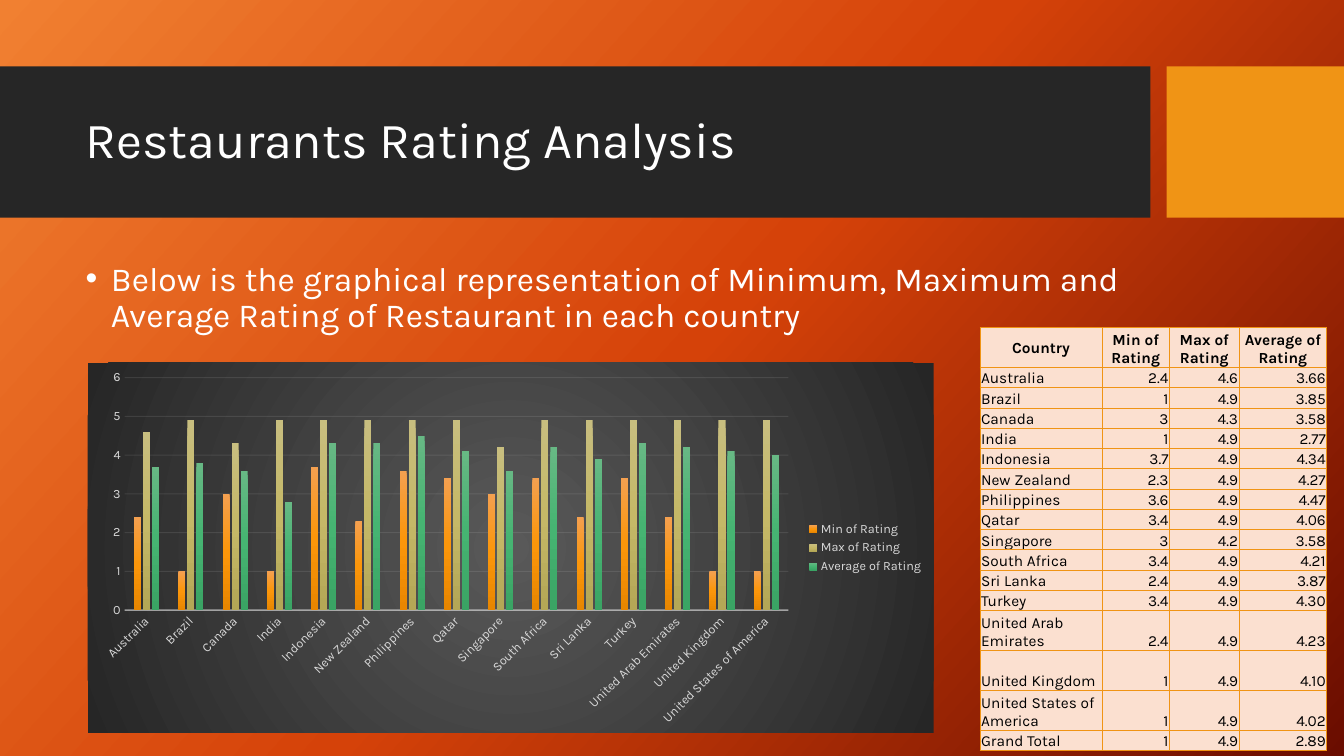
from lxml import etree
from pptx import Presentation
from pptx.chart.data import CategoryChartData
from pptx.dml.color import RGBColor
from pptx.enum.chart import XL_CHART_TYPE, XL_LEGEND_POSITION, XL_TICK_MARK
from pptx.enum.shapes import MSO_SHAPE
from pptx.enum.text import MSO_ANCHOR, MSO_AUTO_SIZE, PP_ALIGN
from pptx.oxml.ns import qn
from pptx.util import Inches, Pt

CLUSTERED = XL_CHART_TYPE.COLUMN_CLUSTERED
LEGEND_RIGHT = XL_LEGEND_POSITION.RIGHT
NO_TICK = XL_TICK_MARK.NONE
RECTANGLE = MSO_SHAPE.RECTANGLE
TOP, MIDDLE, BOTTOM = MSO_ANCHOR.TOP, MSO_ANCHOR.MIDDLE, MSO_ANCHOR.BOTTOM
NO_FIT = MSO_AUTO_SIZE.NONE
LEFT, CENTER, RIGHT = PP_ALIGN.LEFT, PP_ALIGN.CENTER, PP_ALIGN.RIGHT

FONT = "Karla"
WHITE = RGBColor(0xFF, 0xFF, 0xFF)
BLACK = RGBColor(0x00, 0x00, 0x00)
CHARCOAL = RGBColor(0x26, 0x26, 0x26)
GRAY = RGBColor(0x59, 0x59, 0x59)
LABEL_GRAY = RGBColor(0xD9, 0xD9, 0xD9)
LINE_GRAY = RGBColor(0xF2, 0xF2, 0xF2)
ORANGE = RGBColor(0xF0, 0x94, 0x15)
PEACH = RGBColor(0xFB, 0xE0, 0xD0)
BACKGROUND_COLORS = [RGBColor(0xF1, 0x80, 0x31), RGBColor(0xD5, 0x42, 0x09), RGBColor(0x6A, 0x0D, 0x00)]
SERIES_COLORS = [
    [RGBColor(0xF4, 0xA0, 0x50), RGBColor(0xFB, 0x96, 0x0A), RGBColor(0xE8, 0x86, 0x00)],
    [RGBColor(0xC8, 0xBE, 0x7F), RGBColor(0xC5, 0xB8, 0x67), RGBColor(0xB4, 0xA7, 0x56)],
    [RGBColor(0x67, 0xB8, 0x84), RGBColor(0x46, 0xB4, 0x72), RGBColor(0x3A, 0xA4, 0x64)],
]

HEADERS = ["Country", "Min of Rating", "Max of Rating", "Average of Rating"]
RATINGS = [
    ("Australia", "2.4", "4.6", "3.66"),
    ("Brazil", "1", "4.9", "3.85"),
    ("Canada", "3", "4.3", "3.58"),
    ("India", "1", "4.9", "2.77"),
    ("Indonesia", "3.7", "4.9", "4.34"),
    ("New Zealand", "2.3", "4.9", "4.27"),
    ("Philippines", "3.6", "4.9", "4.47"),
    ("Qatar", "3.4", "4.9", "4.06"),
    ("Singapore", "3", "4.2", "3.58"),
    ("South Africa", "3.4", "4.9", "4.21"),
    ("Sri Lanka", "2.4", "4.9", "3.87"),
    ("Turkey", "3.4", "4.9", "4.30"),
    ("United Arab Emirates", "2.4", "4.9", "4.23"),
    ("United Kingdom", "1", "4.9", "4.10"),
    ("United States of America", "1", "4.9", "4.02"),
]
GRAND_TOTAL = ("Grand Total", "1", "4.9", "2.89")
CHART_AVERAGES = [3.7, 3.8, 3.6, 2.8, 4.3, 4.3, 4.5, 4.1, 3.6, 4.2, 3.9, 4.3, 4.2, 4.1, 4]


def set_font(font, size, color, bold=False):
    font.name = FONT
    font.size = Pt(size)
    font.bold = bold
    font.color.rgb = color


def fill_gradient(gradient, colors, angle=None):
    for child in list(gradient):
        gradient.remove(child)
    stops = etree.SubElement(gradient, qn("a:gsLst"))
    for index, color in enumerate(colors):
        position = 100000 * index // (len(colors) - 1)
        stop = etree.SubElement(stops, qn("a:gs"), pos=str(position))
        etree.SubElement(stop, qn("a:srgbClr"), val=str(color))
    if angle is None:
        radial = etree.SubElement(gradient, qn("a:path"), path="circle")
        etree.SubElement(radial, qn("a:fillToRect"), l="50000", t="50000", r="50000", b="50000")
    else:
        etree.SubElement(gradient, qn("a:lin"), ang=str(angle * 60000), scaled="0")


def style_line(line, width, opacity, owner):
    line.width = Pt(width)
    line.color.rgb = LINE_GRAY
    color = next(owner.iter(qn("a:srgbClr")))
    etree.SubElement(color, qn("a:alpha"), val=str(opacity * 1000))


def add_band(slide, left, width, color):
    band = slide.shapes.add_shape(RECTANGLE, Inches(left), Inches(0.66), Inches(width), Inches(1.5))
    band.shadow.inherit = False
    band.fill.solid()
    band.fill.fore_color.rgb = color
    band.line.fill.background()
    slide.shapes._spTree.insert(2, band._element)


def fill_placeholder(placeholder, text, top, height, size, anchor):
    placeholder.left, placeholder.top = Inches(0.75), Inches(top)
    placeholder.width, placeholder.height = Inches(10.51), Inches(height)
    frame = placeholder.text_frame
    frame.text = text
    frame.word_wrap = True
    frame.auto_size = NO_FIT
    frame.vertical_anchor = anchor
    paragraph = frame.paragraphs[0]
    paragraph.alignment = LEFT
    paragraph.line_spacing = 0.9
    set_font(paragraph.runs[0].font, size, WHITE)
    return paragraph


def add_bullet(paragraph):
    paragraph.space_before = Pt(10)
    properties = paragraph._p.get_or_add_pPr()
    properties.set("marL", str(Inches(0.25)))
    properties.set("indent", str(-Inches(0.25)))
    etree.SubElement(properties, qn("a:buFont"), typeface="Arial")
    etree.SubElement(properties, qn("a:buChar"), char="•")


def style_axes(chart):
    countries, ratings = chart.category_axis, chart.value_axis
    for axis in (countries, ratings):
        axis.major_tick_mark = axis.minor_tick_mark = NO_TICK
        set_font(axis.tick_labels.font, 9, LABEL_GRAY)
    countries._element.find(qn("c:txPr")).find(qn("a:bodyPr")).set("rot", str(-45 * 60000))
    style_line(countries.format.line, 1, 54, countries._element.find(qn("c:spPr")))
    ratings.minimum_scale, ratings.maximum_scale, ratings.major_unit = 0, 6, 1
    ratings.format.line.fill.background()
    gridlines = ratings.major_gridlines.format.line
    style_line(gridlines, 0.75, 10, ratings._element.find(qn("c:majorGridlines")))


def add_rating_chart(slide):
    data = CategoryChartData()
    data.categories = [row[0] for row in RATINGS]
    minimums = [float(row[1]) for row in RATINGS]
    maximums = [float(row[2]) for row in RATINGS]
    for header, values in zip(HEADERS[1:], (minimums, maximums, CHART_AVERAGES)):
        data.add_series(header, values)
    chart = slide.shapes.add_chart(
        CLUSTERED, Inches(0.87), Inches(3.6), Inches(8.39), Inches(3.67), data).chart
    chart.has_title = False
    set_font(chart.font, 10, WHITE)
    chart.has_legend = True
    chart.legend.position = LEGEND_RIGHT
    chart.legend.include_in_layout = False
    set_font(chart.legend.font, 9, LABEL_GRAY)
    style_axes(chart)

    plot = chart.plots[0]
    plot.gap_width, plot.overlap, plot.vary_by_categories = 269, -27, False
    for series, colors in zip(plot.series, SERIES_COLORS):
        series.format.fill.gradient()
        fill_gradient(next(series._element.iter(qn("a:gradFill"))), colors, 90)

    area = etree.Element(qn("c:spPr"))
    fill_gradient(etree.SubElement(area, qn("a:gradFill")), [GRAY, CHARCOAL])
    etree.SubElement(etree.SubElement(area, qn("a:ln")), qn("a:noFill"))
    chart._chartSpace.find(qn("c:chart")).addnext(area)


def add_borders(cell):
    properties = cell._tc.get_or_add_tcPr()
    for index, side in enumerate(("a:lnL", "a:lnR", "a:lnT", "a:lnB")):
        border = etree.Element(qn(side), w=str(Pt(0.75)))
        fill = etree.SubElement(border, qn("a:solidFill"))
        etree.SubElement(fill, qn("a:srgbClr"), val=str(ORANGE))
        properties.insert(index, border)


def fill_cell(cell, text, alignment, anchor, bold):
    cell.fill.solid()
    cell.fill.fore_color.rgb = PEACH
    cell.margin_left = cell.margin_right = cell.margin_top = Inches(0.01)
    cell.margin_bottom = 0
    cell.vertical_anchor = anchor
    cell.text = text
    paragraph = cell.text_frame.paragraphs[0]
    paragraph.alignment = alignment
    set_font(paragraph.runs[0].font, 11, BLACK, bold)
    add_borders(cell)


def add_rating_table(slide):
    rows = [HEADERS, *RATINGS, GRAND_TOTAL]
    height, tall_total = Inches(4.2), Inches(1.58)
    tall_rows = [index for index, row in enumerate(rows) if index == 0 or row[0].startswith("United")]
    tall = tall_total // len(tall_rows)
    short = (height - tall_total) // (len(rows) - len(tall_rows))
    table = slide.shapes.add_table(
        len(rows), len(HEADERS), Inches(9.72), Inches(3.25), Inches(3.44), height).table
    table.horz_banding = False
    for column, width in zip(table.columns, (1.21, 0.67, 0.69, 0.87)):
        column.width = Inches(width)
    for r, row in enumerate(rows):
        table.rows[r].height = tall if r in tall_rows else short
        for c, text in enumerate(row):
            alignment = CENTER if r == 0 else LEFT if c == 0 else RIGHT
            anchor = MIDDLE if r == c == 0 else BOTTOM
            fill_cell(table.cell(r, c), text, alignment, anchor, r == 0)


def main():
    deck = Presentation()
    deck.slide_width, deck.slide_height = Inches(13.33), Inches(7.5)
    slide = deck.slides.add_slide(deck.slide_layouts[1])
    slide.background.fill.gradient()
    fill_gradient(next(slide.element.iter(qn("a:gradFill"))), BACKGROUND_COLORS, 42)
    add_band(slide, 11.57, 1.76, ORANGE)
    add_band(slide, 0, 11.41, CHARCOAL)
    fill_placeholder(slide.shapes.title, "Restaurants Rating Analysis", 0.82, 1.18, 36, MIDDLE)
    summary = fill_placeholder(
        slide.placeholders[1],
        "Below is the graphical representation of Minimum, Maximum and "
        "Average Rating of Restaurant in each country",
        2.55, 3.94, 24, TOP)
    add_bullet(summary)
    add_rating_chart(slide)
    add_rating_table(slide)
    deck.save("out.pptx")


if __name__ == "__main__":
    main()
